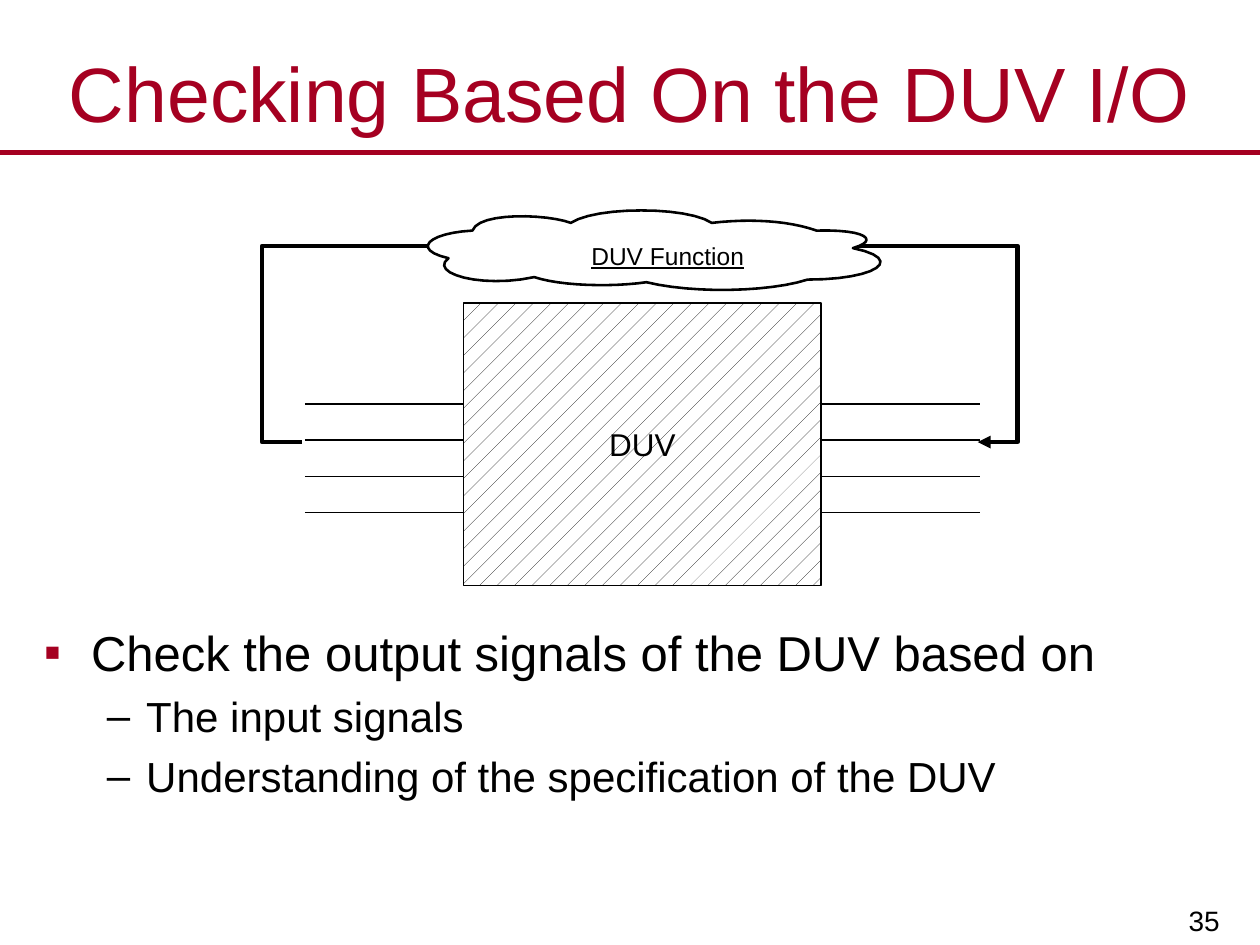
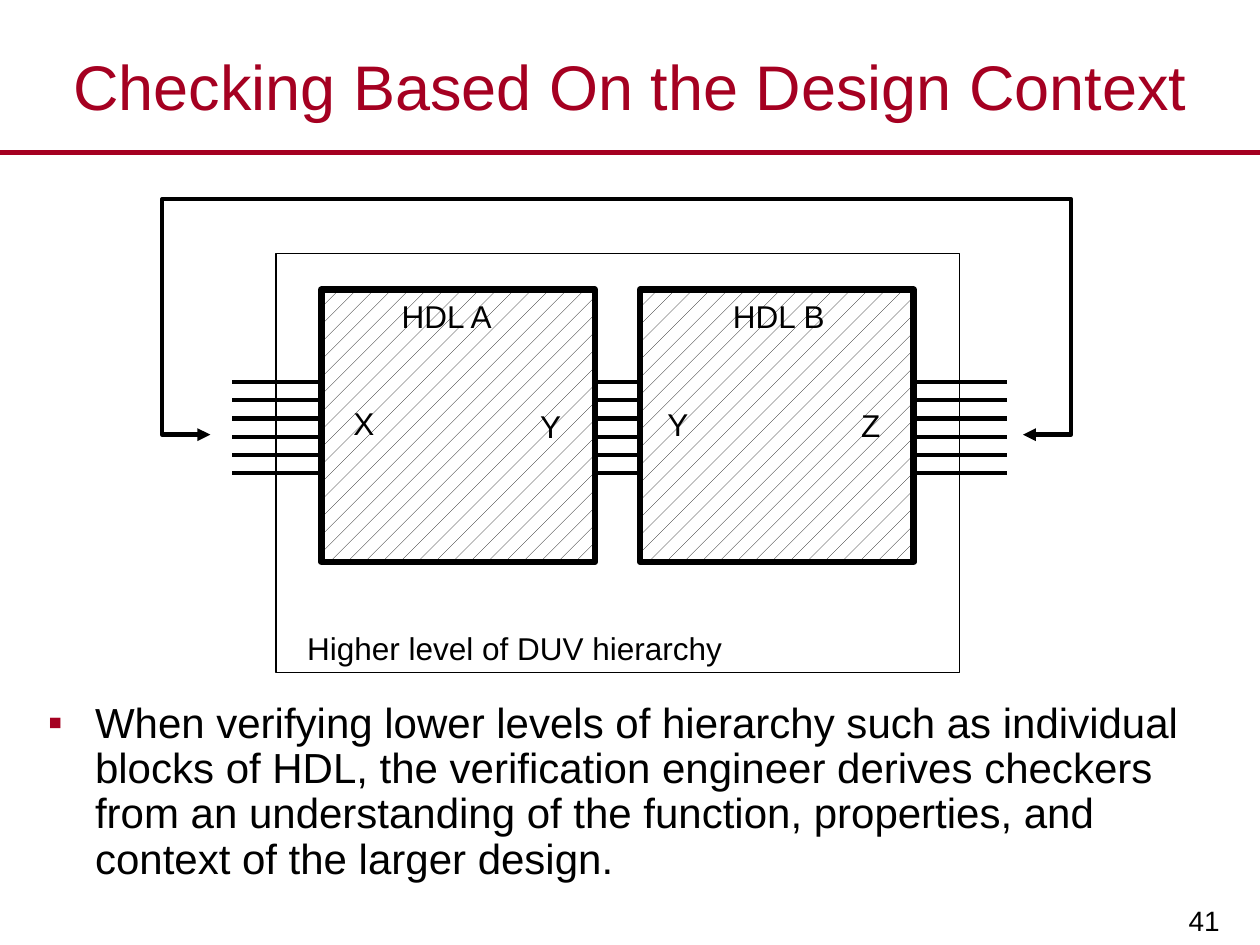
from dataclasses import dataclass

import lxml.etree
import pptx
import pptx.dml.color
import pptx.enum.dml
import pptx.enum.shapes
import pptx.enum.text
import pptx.oxml.ns
import pptx.util

Pt = pptx.util.Pt
qn = pptx.oxml.ns.qn
PP_ALIGN = pptx.enum.text.PP_ALIGN
ANCHOR = pptx.enum.text.MSO_ANCHOR
SHAPES = pptx.enum.shapes.MSO_SHAPE

FONT = "Arial"
COLORS = {"accent": "A50021", "ink": "000000", "paper": "FFFFFF"}
HAIR, WIRE, BLOCK_EDGE = 0.75, 2.48, 3.75
BOX_INSETS = (7.2, 3.6)

CLOUD_LOBES = [
    ((270, 131.8), (244.8, 133.2), (234.7, 142.6)),
    ((256.3, 147.6), (244.8, 156.2), (275, 164.9)),
    ((305.3, 158.4), (320.4, 163.4), (349.2, 164.2)),
    ((369.4, 161.3), (396, 167.8), (439.2, 167)),
    ((461.5, 159.8), (500.4, 159.8), (518.4, 148.3)),
    ((487.4, 141.8), (502.6, 137.5), (495.4, 131)),
    ((466.6, 131.8), (450, 126), (428.4, 124.9)),
    ((406.8, 127.4), (392.4, 117.9), (340.6, 117.9)),
    ((326.2, 127.4), (313.2, 122.4), (273.6, 121)),
]


@dataclass
class Label:
    text: str
    left: float
    top: float
    width: float
    height: float
    size: float = 18
    color: str = "ink"
    align: PP_ALIGN = PP_ALIGN.LEFT
    anchor: ANCHOR = ANCHOR.TOP
    insets: tuple[float, float] = BOX_INSETS
    wrap: bool = True
    underline: bool = False


@dataclass
class Block:
    left: float
    top: float
    width: float
    height: float
    edge: float
    shape: SHAPES = SHAPES.ROUNDED_RECTANGLE
    hatched: bool = True


@dataclass
class Bus:
    left: float
    length: float
    top: float
    pitch: float
    count: int
    weight: float


@dataclass
class Bullet:
    text: str
    size: float
    mark: str = "▪"
    mark_color: str = "accent"
    margin: float = 27
    hanging: float = 27
    level: int = 0
    before: float = 0
    spacing: float = 1.0


def rgb(name: str) -> pptx.dml.color.RGBColor:
    return pptx.dml.color.RGBColor.from_string(COLORS[name])


def set_line(line, weight: float, color: str = "ink") -> None:
    line.color.rgb = rgb(color)
    line.width = Pt(weight)


def add_run(paragraph, text: str, size: float, color: str = "ink"):
    run = paragraph.add_run()
    run.text = text
    run.font.name = FONT
    run.font.size = Pt(size)
    run.font.color.rgb = rgb(color)
    return run


def set_frame(frame, insets: tuple[float, float], anchor: ANCHOR, wrap: bool) -> None:
    frame.margin_left = frame.margin_right = Pt(insets[0])
    frame.margin_top = frame.margin_bottom = Pt(insets[1])
    frame.vertical_anchor = anchor
    frame.word_wrap = wrap


def draw_label(slide, label: Label) -> None:
    box = slide.shapes.add_textbox(
        Pt(label.left), Pt(label.top), Pt(label.width), Pt(label.height))
    set_frame(box.text_frame, label.insets, label.anchor, label.wrap)
    paragraph = box.text_frame.paragraphs[0]
    paragraph.alignment = label.align
    run = add_run(paragraph, label.text, label.size, label.color)
    if label.underline:
        run.font.underline = True


def draw_line(slide, x1: float, y1: float, x2: float, y2: float,
              weight: float, color: str = "ink") -> None:
    line = slide.shapes.add_connector(
        pptx.enum.shapes.MSO_CONNECTOR.STRAIGHT, Pt(x1), Pt(y1), Pt(x2), Pt(y2))
    set_line(line.line, weight, color)
    properties = line._element.find(qn("p:spPr"))
    lxml.etree.SubElement(properties, qn("a:effectLst"))


def draw_bus(slide, bus: Bus) -> None:
    for index in range(bus.count):
        y = bus.top + index * bus.pitch
        draw_line(slide, bus.left, y, bus.left + bus.length, y, bus.weight)


def draw_block(slide, block: Block):
    shape = slide.shapes.add_shape(
        block.shape, Pt(block.left), Pt(block.top), Pt(block.width), Pt(block.height))
    shape.shadow.inherit = False
    if block.shape == SHAPES.ROUNDED_RECTANGLE:
        shape.adjustments[0] = 0
    if block.hatched:
        shape.fill.patterned()
        shape.fill.pattern = pptx.enum.dml.MSO_PATTERN.PERCENT_5
        shape.fill.fore_color.rgb = rgb("ink")
        shape.fill.back_color.rgb = rgb("paper")
    else:
        shape.fill.background()
    set_line(shape.line, block.edge)
    return shape


def draw_outline(slide, points: list[tuple[float, float]], weight: float, closed: bool):
    corners = [(Pt(x), Pt(y)) for x, y in points]
    builder = slide.shapes.build_freeform(*corners[0], scale=1.0)
    builder.add_line_segments(corners[1:], close=closed)
    outline = builder.convert_to_shape()
    outline.shadow.inherit = False
    set_line(outline.line, weight)
    return outline


def draw_loop(slide, points: list[tuple[float, float]], ends: tuple[str, ...]) -> None:
    loop = draw_outline(slide, points, WIRE, closed=False)
    loop.fill.background()
    line = loop._element.spPr.find(qn("a:ln"))
    for end in ends:
        lxml.etree.SubElement(line, qn(f"a:{end}"), type="triangle")


def cloud_points(steps: int = 12) -> list[tuple[float, float]]:
    points = []
    for index, (start, pull, push) in enumerate(CLOUD_LOBES):
        end = CLOUD_LOBES[(index + 1) % len(CLOUD_LOBES)][0]
        for step in range(steps):
            t = step / steps
            u = 1 - t
            points.append(tuple(
                u**3 * a + 3 * u * u * t * b + 3 * u * t * t * c + t**3 * d
                for a, b, c, d in zip(start, pull, push, end)))
    return points


def draw_bullets(slide, left: float, top: float, width: float, height: float,
                 bullets: list[Bullet]) -> None:
    box = slide.shapes.add_textbox(Pt(left), Pt(top), Pt(width), Pt(height))
    frame = box.text_frame
    set_frame(frame, BOX_INSETS, ANCHOR.TOP, True)
    for index, bullet in enumerate(bullets):
        paragraph = frame.paragraphs[0] if index == 0 else frame.add_paragraph()
        paragraph.level = bullet.level
        paragraph.line_spacing = bullet.spacing
        paragraph.space_before = Pt(bullet.before)
        properties = paragraph._p.get_or_add_pPr()
        properties.set("marL", str(Pt(bullet.margin)))
        properties.set("indent", str(-Pt(bullet.hanging)))
        tint = lxml.etree.SubElement(properties, qn("a:buClr"))
        lxml.etree.SubElement(tint, qn("a:srgbClr"), val=COLORS[bullet.mark_color])
        lxml.etree.SubElement(properties, qn("a:buFont"), typeface=FONT)
        lxml.etree.SubElement(properties, qn("a:buChar"), char=bullet.mark)
        add_run(paragraph, bullet.text, bullet.size)


def start_slide(deck, title: str, title_size: float, title_top: float, number: int):
    slide = deck.slides.add_slide(deck.slide_layouts[6])
    draw_line(slide, 0, 87.1, 720, 87.1, 3, "accent")
    draw_label(slide, Label(str(number), 561.6, 499, 143.3, 41, 16,
                            align=PP_ALIGN.RIGHT, anchor=ANCHOR.BOTTOM, insets=(8, 4.5)))
    draw_label(slide, Label(title, 0, title_top, 720, 61.5, title_size, "accent",
                            PP_ALIGN.CENTER, ANCHOR.MIDDLE))
    return slide


def build_io_slide(deck) -> None:
    slide = start_slide(deck, "Checking Based On the DUV I/O", 44, 21.6, 35)
    detail = dict(size=24, mark="–", mark_color="ink", margin=58.5, hanging=22.5,
                  level=1, before=5.5)
    draw_bullets(slide, 18, 352, 670, 138, [
        Bullet("Check the output signals of the DUV based on", 28, before=2),
        Bullet("The input signals", **detail),
        Bullet("Understanding of the specification of the DUV", **detail),
    ])
    draw_loop(slide, [(172.6, 252.6), (149.7, 252.6), (149.7, 140.5), (581.4, 140.5),
                      (581.4, 252.6), (558.7, 252.6)], ("tailEnd",))
    duv = draw_block(slide, Block(265, 173.2, 204.2, 161.4, HAIR, SHAPES.RECTANGLE))
    set_frame(duv.text_frame, BOX_INSETS, ANCHOR.MIDDLE, False)
    duv_name = duv.text_frame.paragraphs[0]
    duv_name.alignment = PP_ALIGN.CENTER
    add_run(duv_name, "DUV", 18)
    for left in (174.2, 469.4):
        draw_bus(slide, Bus(left, 90.8, 230.8, 20.7, 4, HAIR))
    cloud = draw_outline(slide, cloud_points(), 1.48, closed=True)
    cloud.fill.solid()
    cloud.fill.fore_color.rgb = rgb("paper")
    draw_label(slide, Label("DUV Function", 277.2, 134.9, 208.8, 22.3, 14,
                            align=PP_ALIGN.CENTER, anchor=ANCHOR.MIDDLE,
                            insets=(0, 0), underline=True))


def build_context_slide(deck) -> None:
    slide = start_slide(deck, "Checking Based On the Design Context", 36, 18, 41)
    draw_bullets(slide, 20.2, 397.5, 675.4, 108, [
        Bullet("When verifying lower levels of hierarchy such as individual blocks of HDL, "
               "the verification engineer derives checkers from an understanding of the "
               "function, properties, and context of the larger design.", 24, spacing=0.9),
    ])
    draw_block(slide, Block(157.7, 144.7, 390.5, 239.5, HAIR, hatched=False))
    for left in (183.6, 365.8):
        draw_block(slide, Block(left, 165.6, 156.3, 155.5, BLOCK_EDGE))
    for left in (132.7, 158.4, 340.7, 523, 549.1):
        draw_bus(slide, Bus(left, 26.3, 218.2, 10.45, 6, WIRE))
    draw_loop(slide, [(120.2, 248.4), (92.6, 248.4), (92.6, 113.8), (612, 113.8),
                      (612, 248.4), (584.6, 248.4)], ("headEnd", "tailEnd"))
    for name, left in (("HDL A", 222.5), ("HDL B", 411.8)):
        draw_label(slide, Label(name, left, 166.3, 67.7, 28.8, wrap=False))
    draw_label(slide, Label("Higher level of DUV hierarchy", 168.5, 355.7, 280, 28.8))
    for port, left, top in (("X", 185, 227.5), ("Y", 291.6, 229.3),
                            ("Y", 364.3, 227.8), ("Z", 474.5, 228.5)):
        draw_label(slide, Label(port, left, top, 46, 28.8, align=PP_ALIGN.CENTER))


def main() -> None:
    deck = pptx.Presentation()
    deck.slide_width, deck.slide_height = Pt(720), Pt(540)
    build_io_slide(deck)
    build_context_slide(deck)
    deck.save("out.pptx")


if __name__ == "__main__":
    main()
